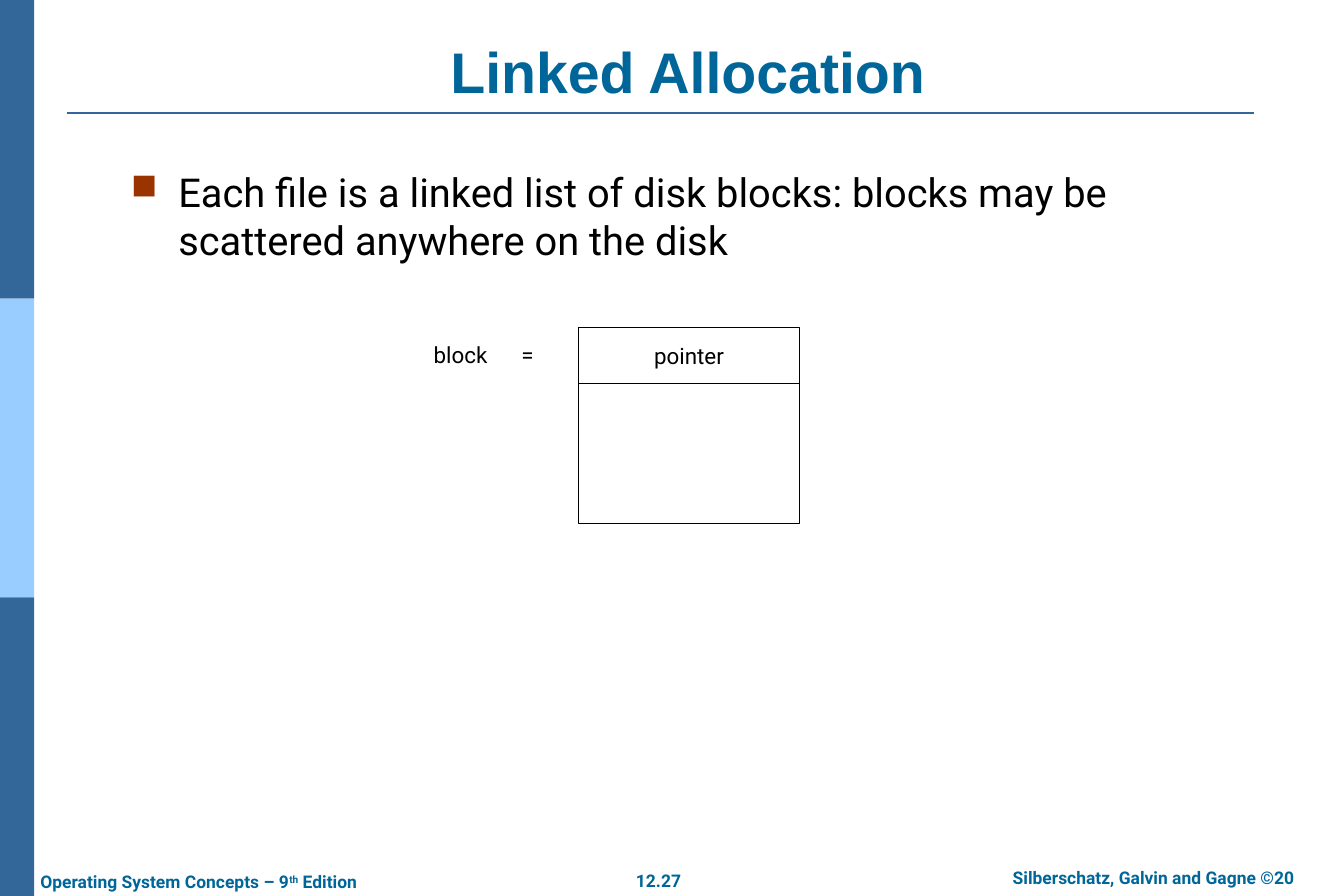
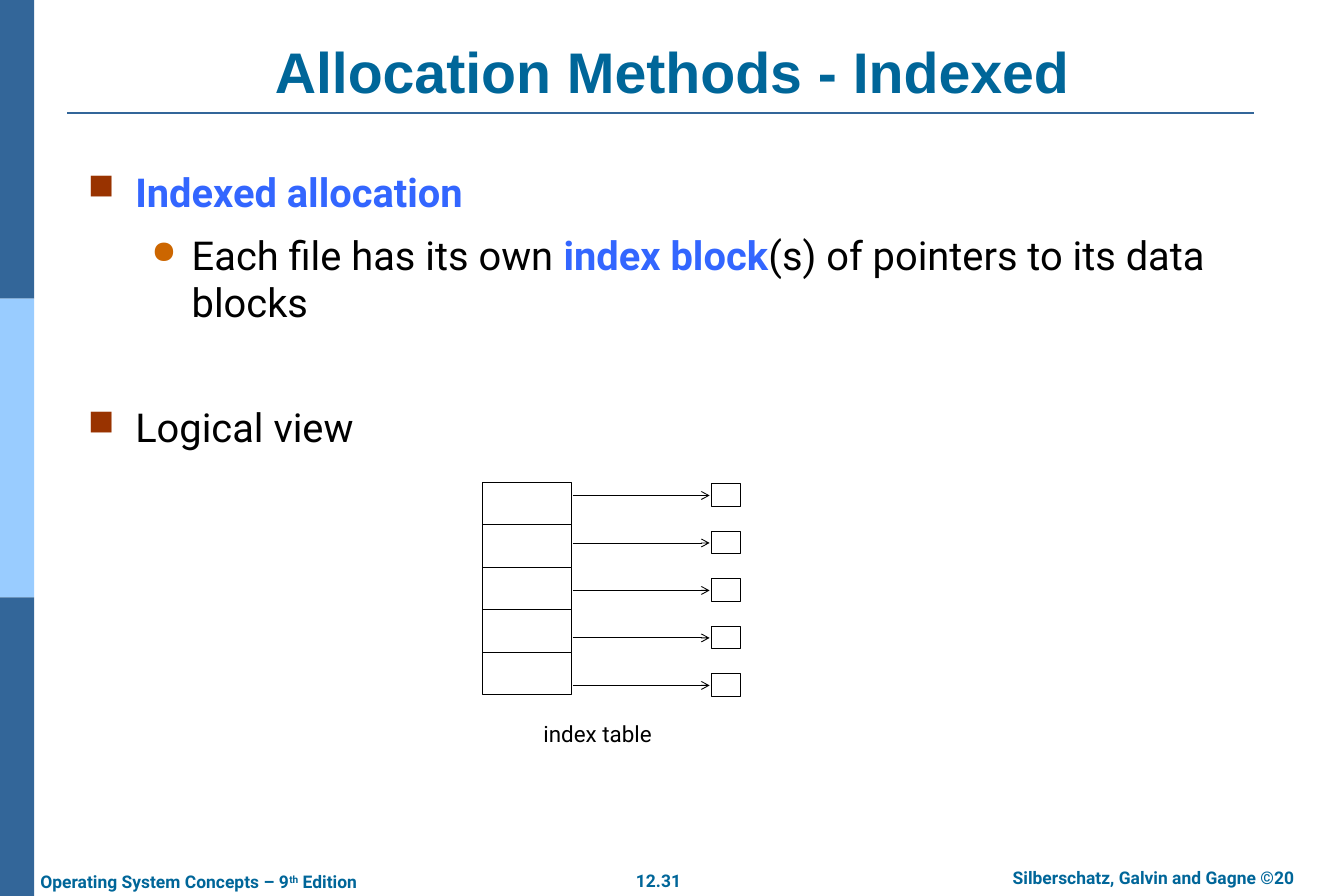
from pptx import Presentation
from pptx.dml.color import RGBColor
from pptx.enum import shapes, text
from pptx.oxml import ns
from pptx.util import Inches, Pt
from lxml import etree

NAVY = RGBColor(0x33, 0x66, 0x99)
SKY = RGBColor(0x99, 0xCC, 0xFF)
TEAL = RGBColor(0x00, 0x66, 0x99)
BLUE = RGBColor(0x33, 0x66, 0xFF)
RUST = RGBColor(0x99, 0x33, 0x00)
ORANGE = RGBColor(0xCC, 0x66, 0x00)
BLACK = RGBColor(0, 0, 0)
WHITE = RGBColor(0xFF, 0xFF, 0xFF)

CENTER = text.PP_ALIGN.CENTER
MIDDLE = text.MSO_ANCHOR.MIDDLE

# level: character, colour, size in percent, text indent, hanging indent
BULLETS = [("■", RUST, 90, 0.53, 0.53), ("●", ORANGE, 80, 1.16, 0.45)]


def add_element(parent, tag, **attributes):
    element = etree.SubElement(parent, ns.qn(tag))
    for name, value in attributes.items():
        element.set(name, str(value))
    return element


class Deck:
    body_font = "Roboto"
    title_font = "Arial"

    def __init__(self):
        self.deck = Presentation()
        self.deck.slide_width = Inches(15)
        self.deck.slide_height = Inches(10)
        self.page = None

    def add_page(self, title, number, title_left):
        """Start a slide with its side bands, title, rule and footers."""
        self.page = self.deck.slides.add_slide(self.deck.slide_layouts[6])
        band_height = 10 / 3
        for row, colour in enumerate((NAVY, SKY, NAVY)):
            self.rect(0, row * band_height, 0.38, band_height, colour)
        self.line(0.75, 1.26, 14, 1.26, NAVY, 1.5)
        self.footer(6.85, 9.64, 1, number, CENTER)
        self.footer(10.65, 9.61, 4.45, "Silberschatz, Galvin and Gagne ©20", CENTER)
        edition = self.footer(0.31, 9.65, 4.13, "Operating System Concepts – 9")
        superscript = edition.add_run()
        superscript.text = "th"
        superscript.font._element.set("baseline", "30000")
        edition.add_run().text = " Edition"
        frame = self.text_frame(title_left, 0.4, 14.25 - title_left, 0.84,
                                text.MSO_ANCHOR.BOTTOM)
        self.style(frame.paragraphs[0], title, 46, TEAL, CENTER, True, self.title_font)

    def rect(self, left, top, width, height, fill=WHITE, outline=None):
        box = self.page.shapes.add_shape(
            shapes.MSO_SHAPE.RECTANGLE,
            Inches(left), Inches(top), Inches(width), Inches(height))
        box.shadow.inherit = False
        box.fill.solid()
        box.fill.fore_color.rgb = fill
        if outline is None:
            box.line.fill.background()
        else:
            box.line.color.rgb = outline
            box.line.width = Pt(0.75)
        return box

    def line(self, x1, y1, x2, y2, colour=BLACK, width=0.75, arrow=False):
        line = self.page.shapes.add_connector(
            shapes.MSO_CONNECTOR.STRAIGHT,
            Inches(x1), Inches(y1), Inches(x2), Inches(y2))
        line.line.color.rgb = colour
        line.line.width = Pt(width)
        if arrow:
            add_element(line.line._get_or_add_ln(), "a:tailEnd", type="arrow")
        add_element(line._element.spPr, "a:effectLst")

    def text_frame(self, left, top, width, height, anchor=text.MSO_ANCHOR.TOP):
        box = self.page.shapes.add_textbox(
            Inches(left), Inches(top), Inches(width), Inches(height))
        frame = box.text_frame
        frame.word_wrap = True
        frame.vertical_anchor = anchor
        frame.margin_left = frame.margin_right = Inches(0.14)
        frame.margin_top = frame.margin_bottom = Inches(0.07)
        return frame

    def style(self, para, words, size, colour=BLACK, align=None, bold=False, font=None):
        """Set the font of a paragraph and add its first words, if any."""
        para.alignment = align
        para.font.name = font or self.body_font
        para.font.size = Pt(size)
        para.font.bold = bold
        para.font.color.rgb = colour
        if words:
            para.add_run().text = words
        return para

    def footer(self, left, top, width, words, align=None):
        frame = self.text_frame(left, top, width, 0.38)
        return self.style(frame.paragraphs[0], words, 14, TEAL, align, True)

    def label(self, left, top, width, height, words, align=CENTER, tab=None):
        para = self.text_frame(left, top, width, height, MIDDLE).paragraphs[0]
        if tab:
            tabs = add_element(para._p.get_or_add_pPr(), "a:tabLst")
            add_element(tabs, "a:tab", pos=Inches(tab), algn="l")
        self.style(para, "", 18, align=align)
        para.text = words

    def bullets(self, left, width, height, items):
        """Each item is (level, points before, spans); a span is (words, is a key term)."""
        frame = self.text_frame(left, 1.8, width, height)
        for index, (level, before, spans) in enumerate(items):
            para = frame.add_paragraph() if index else frame.paragraphs[0]
            char, colour, percent, indent, hanging = BULLETS[level]
            para.level = level
            props = para._p.get_or_add_pPr()
            props.set("marL", str(Inches(indent)))
            props.set("indent", str(-Inches(hanging)))
            add_element(add_element(props, "a:buClr"), "a:srgbClr", val=colour)
            add_element(props, "a:buSzPct", val=percent * 1000)
            add_element(props, "a:buChar", char=char)
            para.space_before = Pt(before)
            self.style(para, "", 32)
            for words, key_term in spans:
                span = para.add_run()
                span.text = words
                if key_term:
                    span.font.bold = True
                    span.font.color.rgb = BLUE


def linked_allocation(deck):
    deck.add_page("Linked Allocation", "12.27", 1.1)
    deck.bullets(1.32, 12.43, 1.09, [
        (0, 0, [("Each file is a linked list of disk blocks: "
                 "blocks may be scattered anywhere on the disk", False)]),
    ])
    pointer = deck.rect(6.46, 3.65, 2.46, 0.63, outline=BLACK)
    pointer.text_frame.vertical_anchor = MIDDLE
    deck.style(pointer.text_frame.paragraphs[0], "pointer", 18, align=CENTER)
    deck.rect(6.46, 4.28, 2.46, 1.56, outline=BLACK)
    deck.label(4.7, 3.76, 1.6, 0.4, "block\t=", text.PP_ALIGN.LEFT, tab=0.98)


def indexed_allocation(deck):
    deck.add_page("Allocation Methods - Indexed", "12.31", 0.75)
    deck.bullets(0.84, 13.5, 6.61, [
        (0, 0, [("Indexed allocation", True)]),
        (1, 12, [("Each file has its own ", False), ("index block", True),
                 ("(s) of pointers to its data blocks", False)]),
        (0, 62, [("Logical view", False)]),
    ])
    for row in range(5):
        deck.rect(5.39, 5.38 + row * 0.475, 0.99, 0.475, outline=BLACK)
        block_top = 5.4 + row * 0.53
        deck.rect(7.94, block_top, 0.33, 0.25, outline=BLACK)
        deck.line(6.39, block_top + 0.13, 7.92, block_top + 0.13, arrow=True)
    deck.label(5.72, 7.96, 1.9, 0.45, "index table")


def main():
    deck = Deck()
    linked_allocation(deck)
    indexed_allocation(deck)
    deck.deck.save("out.pptx")


if __name__ == "__main__":
    main()
